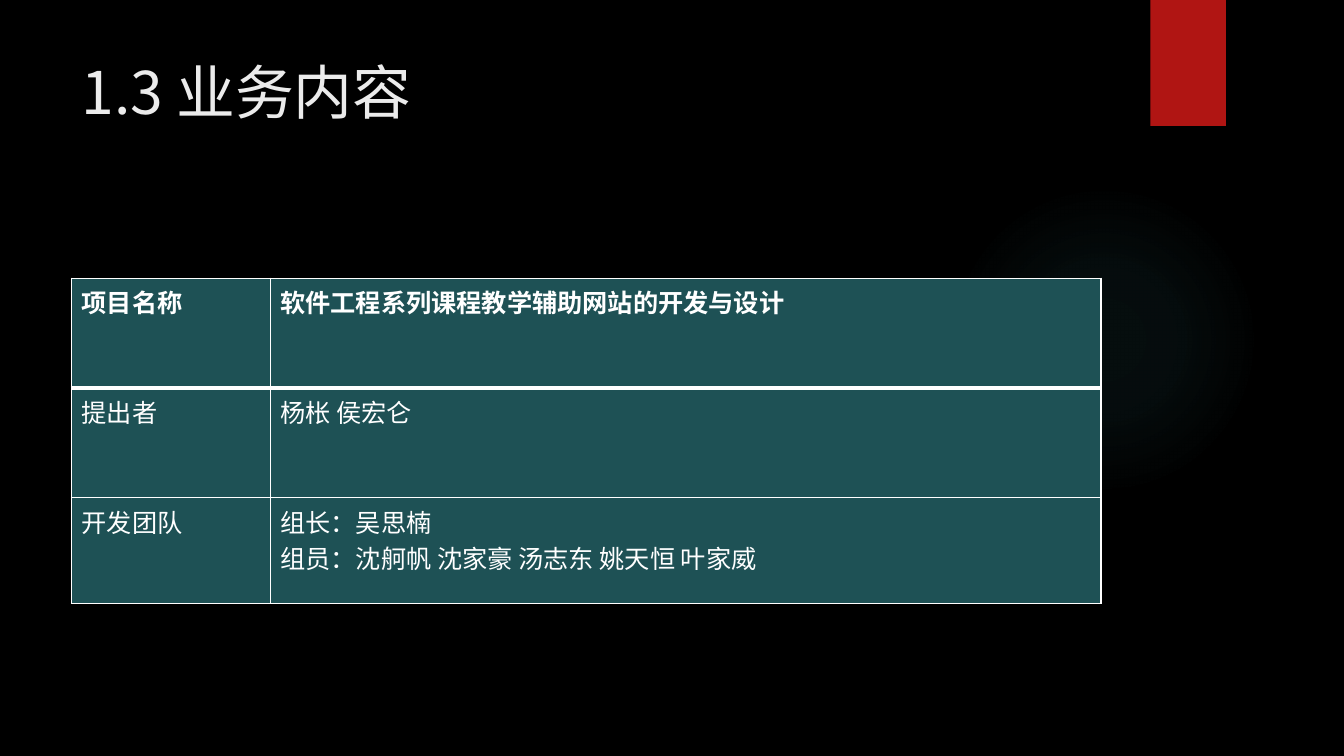
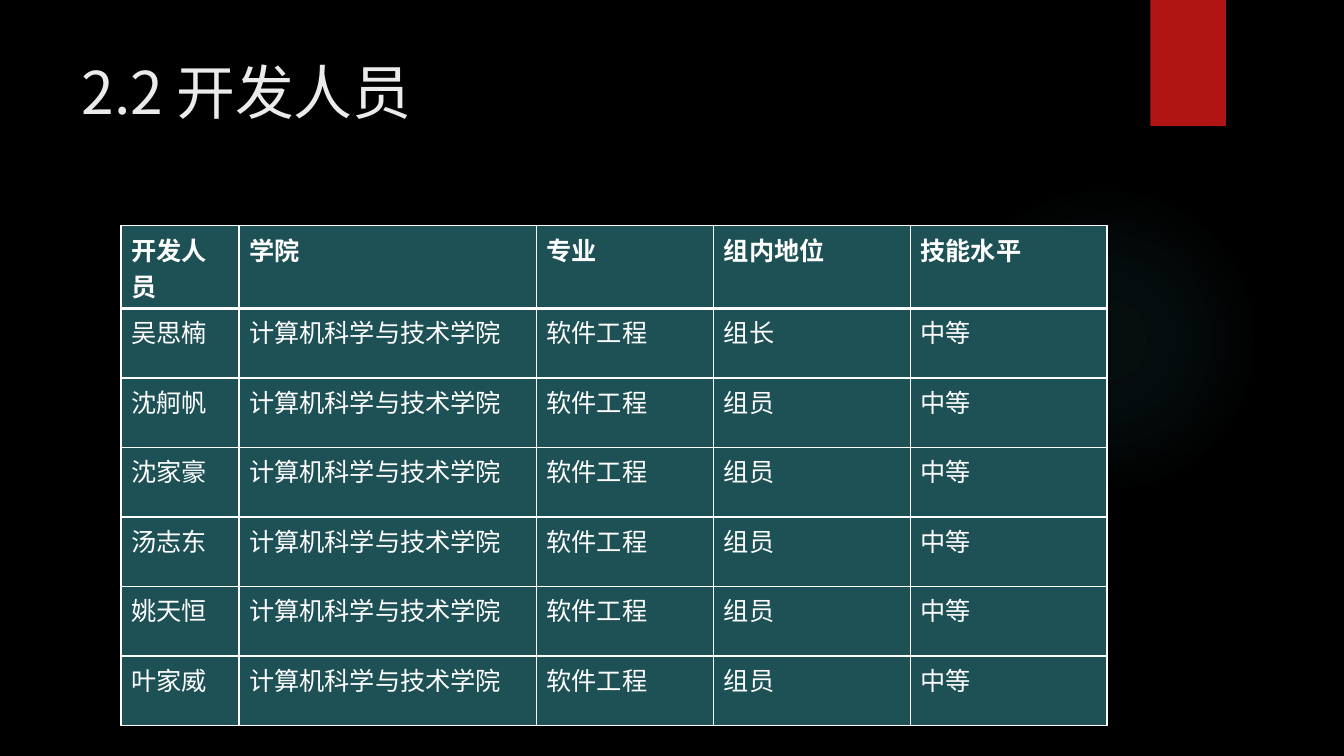
from lxml import etree
from pptx import Presentation
from pptx.dml.color import RGBColor
from pptx.enum.shapes import MSO_SHAPE
from pptx.enum.text import MSO_ANCHOR
from pptx.oxml import parse_xml
from pptx.oxml.ns import nsdecls, qn
from pptx.util import Inches, Pt

OVAL = MSO_SHAPE.OVAL
RECTANGLE = MSO_SHAPE.RECTANGLE
TOP = MSO_ANCHOR.TOP

BLACK = RGBColor(0x00, 0x00, 0x00)
WHITE = RGBColor(0xFF, 0xFF, 0xFF)
TITLE_COLOR = RGBColor(0xEB, 0xEB, 0xEB)
RED = RGBColor(0xB0, 0x15, 0x13)
TEAL = RGBColor(0x1E, 0x51, 0x55)
GLOW = RGBColor(0x50, 0xB9, 0xC1)

TITLE_FONT = "Noto Sans CJK SC"
TABLE_FONT = "League Spartan"
TITLE_FORMAT = {"name": TITLE_FONT, "size": Pt(42)}
TABLE_FORMAT = {"name": TABLE_FONT, "size": Pt(18)}
GLOW_STOPS = ((0, 7), (36, 6), (69, 0))
THIN, THICK = Pt(1), Pt(3)

PROJECT_ROWS = [
    ["项目名称", "软件工程系列课程教学辅助网站的开发与设计"],
    ["提出者", "杨枨 侯宏仑"],
    ["开发团队", "组长：吴思楠\n组员：沈舸帆 沈家豪 汤志东 姚天恒 叶家威"],
]
STAFF_HEADER = ["开发人员", "学院", "专业", "组内地位", "技能水平"]
LEADER = "吴思楠"
MEMBERS = ["沈舸帆", "沈家豪", "汤志东", "姚天恒", "叶家威"]


def format_run(run, values, color, **extra):
    for name, value in {**values, **extra}.items():
        setattr(run.font, name, value)
    run.font.color.rgb = color
    properties = run._r.get_or_add_rPr()
    east_asian = etree.SubElement(properties, qn("a:ea"))
    east_asian.set("typeface", TITLE_FONT)


def add_plain_shape(slide, kind, left, top, width, height):
    shape = slide.shapes.add_shape(
        kind, Inches(left), Inches(top), Inches(width), Inches(height)
    )
    shape.shadow.inherit = False
    shape.line.fill.background()
    return shape


def add_glow(slide):
    shape = add_plain_shape(slide, OVAL, 9.41, 1.83, 3.08, 3.08)
    stops = "".join(
        f'<a:gs pos="{position * 1000}"><a:srgbClr val="{GLOW}">'
        f'<a:alpha val="{alpha * 1000}"/></a:srgbClr></a:gs>'
        for position, alpha in GLOW_STOPS
    )
    gradient = parse_xml(
        f'<a:gradFill {nsdecls("a")}><a:gsLst>{stops}</a:gsLst>'
        '<a:path path="circle">'
        '<a:fillToRect l="50000" t="50000" r="50000" b="50000"/>'
        "</a:path></a:gradFill>"
    )
    shape._element.spPr.find(qn("a:prstGeom")).addnext(gradient)


def add_ribbon(slide):
    shape = add_plain_shape(slide, RECTANGLE, 11.41, 0, 0.75, 1.25)
    shape.fill.solid()
    shape.fill.fore_color.rgb = RED
    shadow = parse_xml(
        f'<a:outerShdw {nsdecls("a")} blurRad="{Pt(3)}" dist="{Pt(2)}" '
        f'dir="5400000" rotWithShape="0"><a:srgbClr val="{BLACK}">'
        '<a:alpha val="45000"/></a:srgbClr></a:outerShdw>'
    )
    shape._element.spPr.find(qn("a:effectLst")).append(shadow)


def add_title(slide, title):
    box = slide.shapes.add_textbox(
        Inches(0.71), Inches(0.5), Inches(10.29), Inches(1.53)
    )
    frame = box.text_frame
    frame.word_wrap = True
    frame.vertical_anchor = TOP
    run = frame.paragraphs[0].add_run()
    run.text = title
    format_run(run, TITLE_FORMAT, TITLE_COLOR)


def set_borders(cell, top, bottom):
    properties = cell._tc.get_or_add_tcPr()
    widths = {"lnL": THIN, "lnR": THIN, "lnT": top, "lnB": bottom}
    for tag, width in widths.items():
        properties.append(parse_xml(
            f'<a:{tag} {nsdecls("a")} w="{width}"><a:solidFill>'
            f'<a:srgbClr val="{WHITE}"/></a:solidFill></a:{tag}>'
        ))


def fill_cell(cell, text, row_index):
    set_borders(
        cell,
        THICK if row_index == 1 else THIN,
        THICK if row_index == 0 else THIN,
    )
    cell.fill.solid()
    cell.fill.fore_color.rgb = TEAL
    cell.text = text
    for paragraph in cell.text_frame.paragraphs:
        for run in paragraph.runs:
            format_run(run, TABLE_FORMAT, WHITE, bold=row_index == 0)


def add_grid(slide, left, top, widths, heights, rows):
    table = slide.shapes.add_table(
        len(rows), len(widths), Inches(left), Inches(top),
        Inches(sum(widths)), Inches(sum(heights)),
    ).table
    table.horz_banding = False
    for column, width in zip(table.columns, widths):
        column.width = Inches(width)
    for row_index, (height, texts) in enumerate(zip(heights, rows)):
        table.rows[row_index].height = Inches(height)
        for column_index, text in enumerate(texts):
            fill_cell(table.cell(row_index, column_index), text, row_index)


def add_page(presentation, title):
    slide = presentation.slides.add_slide(presentation.slide_layouts[6])
    slide.background.fill.solid()
    slide.background.fill.fore_color.rgb = BLACK
    add_glow(slide)
    add_ribbon(slide)
    add_title(slide, title)
    return slide


def staff_row(name, position):
    return [name, "计算机科学与技术学院", "软件工程", position, "中等"]


def main():
    presentation = Presentation()
    presentation.slide_width = Inches(13.33)
    presentation.slide_height = Inches(7.5)

    project = add_page(presentation, "1.3 业务内容")
    add_grid(project, 0.71, 2.76, [1.97, 8.24], [1.09, 1.09, 1.05], PROJECT_ROWS)

    staff = add_page(presentation, "2.2 开发人员")
    staff_rows = [STAFF_HEADER, staff_row(LEADER, "组长")]
    staff_rows += [staff_row(name, "组员") for name in MEMBERS]
    add_grid(
        staff, 1.2, 2.24, [1.17, 2.95, 1.76, 1.95, 1.95],
        [0.82] + [0.69] * (len(staff_rows) - 1), staff_rows,
    )

    presentation.save("out.pptx")


if __name__ == "__main__":
    main()
